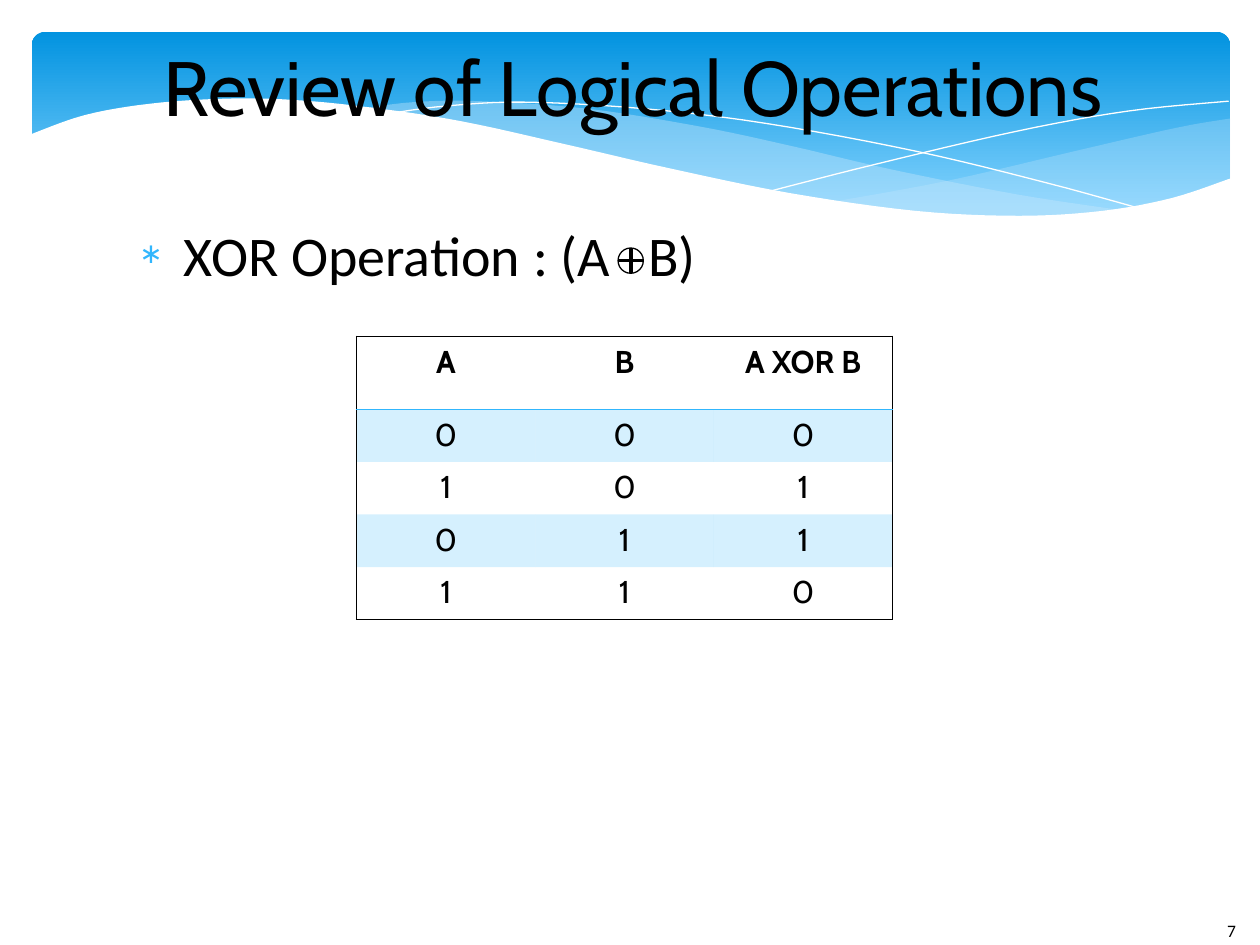
import pptx
import pptx.dml.color
import pptx.enum.shapes
import pptx.enum.text
import pptx.oxml
import pptx.oxml.ns
import pptx.util

Cm = pptx.util.Cm
Pt = pptx.util.Pt
ALIGN = pptx.enum.text.PP_ALIGN
ANCHOR = pptx.enum.text.MSO_ANCHOR
SHAPE = pptx.enum.shapes.MSO_SHAPE
LINK = pptx.enum.shapes.MSO_CONNECTOR
NS = pptx.oxml.ns.nsdecls("a")

BLACK, WHITE, SKY, PALE = "000000", "FFFFFF", "31B6FD", "C6E7FC"

# Wave edges in cm from the banner's top left corner
FAR = [
    [(24.16, 1.75), (23.11, 1.93), (21.23, 2.36), (18.49, 3), (16.15, 3.43)],
    [(16.15, 3.43), (17.63, 3.61), (19.48, 3.73), (21.06, 3.68), (22.76, 3.43),
     (24.16, 2.95)],
]
NEAR = [
    [(22.05, 3.61), (19.86, 3.28), (17.3, 2.77), (15.34, 2.31), (13.46, 1.91),
     (11.18, 1.55), (9.02, 1.4), (7.7, 1.42), (6.63, 1.55)],
    [(6.63, 1.55), (8.05, 1.75), (10.77, 2.31), (13.74, 3), (15.88, 3.38),
     (18.06, 3.66), (20.14, 3.76), (22.05, 3.61)],
]
FALL = [[(7.21, 1.65), (8.33, 1.5), (9.93, 1.42), (12.32, 1.55), (14.81, 1.85),
         (17.83, 2.41), (20.47, 3.05), (22.4, 3.58)]]
RISE = [[(14.94, 3.2), (17.02, 2.67), (19.84, 2.01), (22.1, 1.6), (24.13, 1.4)]]
FRONT = [
    [(24.18, 2.95), (22.99, 3.35), (21.59, 3.61), (19.91, 3.71), (17.81, 3.61),
     (15.27, 3.25), (12.8, 2.74), (10.72, 2.26), (8.64, 1.8), (6.78, 1.52),
     (5.21, 1.37), (3.86, 1.35), (2.39, 1.45), (1.07, 1.68), (-0.05, 2.08)],
    [(-0.05, 5.05), (24.18, 5.05)],
]
ROWS = [("A", "B", "A XOR B"), "000", "101", "011", "110"]


def rgb(code):
    return pptx.dml.color.RGBColor.from_string(code)


def put(item, **values):
    for name, value in values.items():
        setattr(item, name, value)


def paint(fill, code, alpha=100):
    fill.solid()
    fill.fore_color.rgb = rgb(code)
    if alpha < 100:
        tint = fill._xPr.find(".//" + pptx.oxml.ns.qn("a:srgbClr"))
        tint.append(pptx.oxml.parse_xml(f'<a:alpha {NS} val="{alpha * 1000}"/>'))


def stroke(line, code):
    paint(line.fill, code)
    line.width = Pt(0)


def style(run, face, size, bold=False):
    put(run.font, name=face, size=Pt(size), bold=bold)
    run.font.color.rgb = rgb(BLACK)


def curve(knots, steps=6):
    """Return points of a Catmull-Rom spline through the knots."""
    ends = [knots[0], *knots, knots[-1]]
    spots = []
    for a, b, c, d in zip(ends, ends[1:], ends[2:], ends[3:]):
        for t in (n / steps for n in range(steps)):
            spots.append(tuple(
                q + t / 2 * (r - p + t * (2 * p - 5 * q + 4 * r - s
                                          + t * (3 * (q - r) + s - p)))
                for p, q, r, s in zip(a, b, c, d)))
    return spots + [knots[-1]]


def wave(shapes, left, top, edges, closed=True):
    spots = [(Cm(left + x), Cm(top + y)) for edge in edges for x, y in curve(edge)]
    maker = shapes.build_freeform(*spots[0])
    maker.add_line_segments(spots[1:], close=closed)
    form = maker.convert_to_shape()
    form.shadow.inherit = False
    return form


def banner(shapes, left, top, width, height):
    back = shapes.add_shape(SHAPE.ROUNDED_RECTANGLE, *map(Cm, (left, top, width, height)))
    back.adjustments[0] = 0.07
    back.shadow.inherit = False
    back.line.fill.background()
    back.fill.gradient()
    back.fill.gradient_angle = 270
    for stop, code, place in zip(back.fill.gradient_stops, ("0293E0", "83D3FE"), (0, 0.9)):
        stop.color.rgb = rgb(code)
        stop.position = place
    for edges, alpha in ((FAR, 29), (NEAR, 40)):
        swell = wave(shapes, left, top, edges)
        paint(swell.fill, PALE, alpha)
        swell.line.fill.background()
    for edges in (FALL, RISE):
        crest = wave(shapes, left, top, edges, closed=False)
        crest.fill.background()
        stroke(crest.line, WHITE)
    front = wave(shapes, left, top, FRONT)
    paint(front.fill, WHITE)
    front.line.fill.background()


def text_box(shapes, box, **frame):
    area = shapes.add_textbox(*map(Cm, box)).text_frame
    put(area, word_wrap=True, **frame)
    return area.paragraphs[0]


def title(shapes, *box):
    para = text_box(shapes, box, vertical_anchor=ANCHOR.MIDDLE,
                    margin_top=0, margin_bottom=0)
    para.alignment = ALIGN.CENTER
    run = para.add_run()
    run.text = "Review of Logical Operations"
    style(run, "Cabin", 44)


def body(shapes, *box):
    para = text_box(shapes, box, margin_top=0, margin_left=Cm(0.17))
    props = para._p.get_or_add_pPr()
    put(para, space_after=Pt(14))
    props.set("marL", str(Cm(1.19)))
    props.set("indent", str(-Cm(0.89)))
    for mark in (f'<a:buClr {NS}><a:srgbClr val="{SKY}"/></a:buClr>',
                 f'<a:buSzPct {NS} val="50000"/>',
                 f'<a:buFont {NS} typeface="Calibri"/>',
                 f'<a:buChar {NS} char="∗"/>'):
        props.append(pptx.oxml.parse_xml(mark))
    # The wide space leaves room for the XOR sign
    for words, gap in (("XOR Operation\u00a0: (A", 0), (" ", 14.4), ("B)", 0)):
        run = para.add_run()
        run.text = words
        style(run, "Calibri", 32)
        if gap:
            run._r.get_or_add_rPr().set("spc", str(int(gap * 100)))


def xor_sign(shapes, left, top, size):
    mid = size / 2
    for ends in ((left, top + mid, left + size, top + mid),
                 (left + mid, top, left + mid, top + size)):
        bar = shapes.add_connector(LINK.STRAIGHT, *map(Cm, ends))
        bar._element.spPr.append(pptx.oxml.parse_xml(f"<a:effectLst {NS}/>"))
        stroke(bar.line, BLACK)
    ring = shapes.add_shape(SHAPE.OVAL, *map(Cm, (left, top, size, size)))
    ring.shadow.inherit = False
    ring.fill.background()
    stroke(ring.line, BLACK)


def border(cell, sides):
    """Draw the sides given as {letter: colour} and clear the others."""
    props = cell._tc.get_or_add_tcPr()
    for place, side in enumerate("LRTB"):
        code = sides.get(side)
        ink = f'<a:solidFill><a:srgbClr val="{code}"/></a:solidFill>' if code else "<a:noFill/>"
        props.insert(place, pptx.oxml.parse_xml(
            f'<a:ln{side} {NS} w="{Pt(1)}">{ink}</a:ln{side}>'))


def truth_table(shapes, left, top, width, head, step):
    last, edge = len(ROWS) - 1, len(ROWS[0]) - 1
    grid = shapes.add_table(last + 1, edge + 1, *map(
        Cm, (left, top, width, head + last * step))).table
    put(grid, first_row=False, horz_banding=False)
    for col in grid.columns:
        col.width = Cm(width / (edge + 1))
    for r, row in enumerate(ROWS):
        grid.rows[r].height = Cm(step if r else head)
        for c, words in enumerate(row):
            cell = grid.cell(r, c)
            if r % 2:
                paint(cell.fill, SKY, 20)
            else:
                cell.fill.background()
            rules = {"L": c == 0, "R": c == edge, "T": r == 0, "B": r == last}
            sides = {side: BLACK for side, on in rules.items() if on}
            if r < 2:
                sides["T" if r else "B"] = SKY
            border(cell, sides)
            para = cell.text_frame.paragraphs[0]
            para.alignment = ALIGN.CENTER
            run = para.add_run()
            run.text = words
            style(run, "Cabin", 18, bold=r == 0)


def page_number(shapes, *box):
    run = text_box(shapes, box).add_run()
    run.text = "7"
    style(run, "Calibri", 10)


def main():
    deck = pptx.Presentation()
    put(deck, slide_width=Cm(25.4), slide_height=Cm(19.05))
    shapes = deck.slides.add_slide(deck.slide_layouts[6]).shapes
    banner(shapes, 0.64, 0.64, 24.16, 3.96)
    title(shapes, 2.46, 0.43, 20.6, 2.59)
    body(shapes, 2.34, 4.45, 20.6, 12.57)
    xor_sign(shapes, 12.46, 5, 0.51)
    page_number(shapes, 24.49, 18.42, 1.55, 1.02)
    truth_table(shapes, 7.19, 6.78, 10.8, 1.47, 1.06)
    deck.save("out.pptx")


if __name__ == "__main__":
    main()
